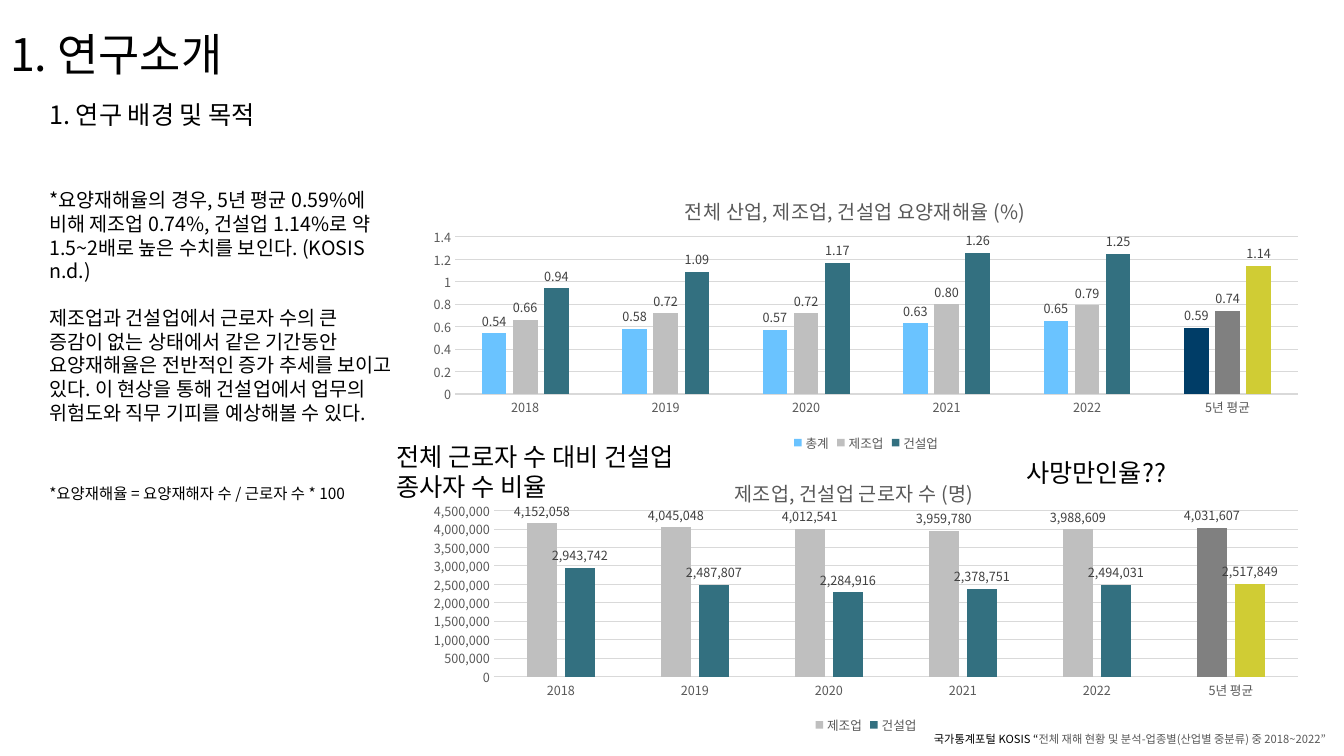
from lxml import etree
from pptx import Presentation
from pptx import util as u
from pptx.chart.data import CategoryChartData
from pptx.dml.color import RGBColor
from pptx.enum import chart as charts, text
from pptx.oxml import parse_xml
from pptx.oxml.ns import nsdecls, qn

FONT = "Noto Sans CJK KR"
COLOURS = {
    "text": "000000", "source": "585858", "axis": "595959", "label": "404040",
    "grid": "D9D9D9", "total": "6AC3FF", "total mean": "003D67",
    "factory": "BFBFBF", "factory mean": "808080",
    "building": "337080", "building mean": "D0CC34",
}
HUES = {"총계": "total", "제조업": "factory", "건설업": "building"}
YEARS = ["2018", "2019", "2020", "2021", "2022", "5년 평균"]
LEFT = 0.39
CHART_LEFT, CHART_TOP, CHART_WIDTH, CHART_HEIGHT = 4.12, 1.72, 8.94, 2.8


def style(font, size, colour):
    """Set size, colour and both the Latin and the East Asian typeface."""
    font.size = u.Pt(size)
    font.color.rgb = RGBColor.from_string(COLOURS[colour])
    font.name = FONT
    etree.SubElement(font._element, qn("a:ea")).set("typeface", FONT)


def fix_layout(element, inner=False, **shares):
    """Place a chart title or plot area by shares of the chart's size."""
    for old in element.findall(qn("c:layout")):
        element.remove(old)
    target = '<c:layoutTarget val="inner"/>' if inner else ""
    modes = "".join(f'<c:{axis}Mode val="edge"/>' for axis in "xy")
    sizes = "".join(f'<c:{key} val="{share}"/>' for key, share in shares.items())
    layout = parse_xml(f"<c:layout {nsdecls('c')}><c:manualLayout>"
                       f"{target}{modes}{sizes}</c:manualLayout></c:layout>")
    element.insert(0 if inner else 1, layout)


deck = Presentation()
deck.slide_width, deck.slide_height = u.Inches(13.33), u.Inches(7.5)
page = deck.slides.add_slide(deck.slide_layouts[5])

# Title
title = page.shapes.title
title.left, title.top = 0, 0
title.width, title.height = deck.slide_width, u.Inches(1.14)
title.text_frame.vertical_anchor = text.MSO_ANCHOR.MIDDLE
para = title.text_frame.paragraphs[0]
para.alignment = text.PP_ALIGN.LEFT
para.line_spacing = 0.9
span = para.add_run()
span.text = "1. 연구소개"
style(span.font, 32, "text")

# Charts, stacked on one column
chart_rows = [
    {"title": "전체 산업, 제조업, 건설업 요양재해율 (%)", "title_x": 0.295,
     "plot": {"x": 0.044, "y": 0.225, "w": 0.935, "h": 0.557},
     "axis": "General", "label": "#,##0.00", "top": 1.4, "step": 0.2,
     "series": {"총계": [0.54, 0.58, 0.57, 0.63, 0.65, 0.59],
                "제조업": [0.66, 0.72, 0.72, 0.8, 0.79, 0.74],
                "건설업": [0.94, 1.09, 1.17, 1.26, 1.25, 1.14]}},
    {"title": "제조업, 건설업 근로자 수 (명)", "title_x": 0.35,
     "plot": {"x": 0.087, "y": 0.195, "w": 0.892, "h": 0.588},
     "axis": "#,##0", "label": "#,##0", "top": 4500000, "step": 500000,
     "series": {"제조업": [4152058, 4045048, 4012541, 3959780, 3988609, 4031607],
                "건설업": [2943742, 2487807, 2284916, 2378751, 2494031, 2517849]}},
]
for row, facts in enumerate(chart_rows):
    data = CategoryChartData()
    data.categories = YEARS
    for name, values in facts["series"].items():
        data.add_series(name, values)
    chart = page.shapes.add_chart(
        charts.XL_CHART_TYPE.COLUMN_CLUSTERED, u.Inches(CHART_LEFT),
        u.Inches(CHART_TOP + row * CHART_HEIGHT),
        u.Inches(CHART_WIDTH), u.Inches(CHART_HEIGHT), data).chart
    style(chart.font, 10, "text")

    span = chart.chart_title.text_frame.paragraphs[0].add_run()
    span.text = facts["title"]
    span.font.bold = False
    style(span.font, 14, "axis")
    fix_layout(chart.chart_title._element, x=facts["title_x"], y=0.06)
    fix_layout(chart._chartSpace.chart.plotArea, inner=True, **facts["plot"])

    chart.has_legend = True
    chart.legend.position = charts.XL_LEGEND_POSITION.BOTTOM
    chart.legend.include_in_layout = False
    style(chart.legend.font, 9, "axis")

    grid = RGBColor.from_string(COLOURS["grid"])
    scale = chart.value_axis
    for axis in (chart.category_axis, scale):
        axis.major_tick_mark = charts.XL_TICK_MARK.NONE
        axis.minor_tick_mark = charts.XL_TICK_MARK.NONE
        style(axis.tick_labels.font, 9, "axis")
    scale.minimum_scale, scale.maximum_scale = 0, facts["top"]
    scale.major_unit = facts["step"]
    scale.tick_labels.number_format = facts["axis"]
    scale.tick_labels.number_format_is_linked = False
    scale.format.line.fill.background()
    for line in (chart.category_axis.format.line, scale.major_gridlines.format.line):
        line.color.rgb = grid
        line.width = u.Pt(0.75)

    plot = chart.plots[0]
    plot.gap_width, plot.overlap = 219, -27
    plot.vary_by_categories = False
    for series in plot.series:
        hue = HUES[series.name]
        mean = series.points[len(YEARS) - 1]
        for bar, colour in ((series, hue), (mean, hue + " mean")):
            bar.format.fill.solid()
            bar.format.fill.fore_color.rgb = RGBColor.from_string(COLOURS[colour])
        labels = series.data_labels
        labels.show_value = True
        labels.position = charts.XL_LABEL_POSITION.OUTSIDE_END
        labels.number_format = facts["label"]
        labels.number_format_is_linked = False
        style(labels.font, 9, "label")

# Text boxes: place, size, alignment, then paragraphs of (wording, colour) runs
notes = [
    ((LEFT, 0.94, 6.75, 0.4), 18, "LEFT", [[("1. 연구 배경 및 목적", "text")]]),
    ((LEFT, 1.82, 3.62, 2.93), 14, "LEFT", [
        [("*요양재해율의 경우, 5년 평균 0.59%에 비해 제조업 0.74%, 건설업 1.14%로 "
          "약 1.5~2배로 높은 수치를 보인다. (KOSIS n.d.)", "text")],
        [("제조업과 건설업에서 근로자 수의 큰 증감이 없는 상태에서 같은 기간동안 "
          "요양재해율은 전반적인 증가 추세를 보이고 있다. 이 현상을 통해 건설업에서 "
          "업무의 위험도와 직무 기피를 예상해볼 수 있다.", "text")]]),
    ((8.49, 7.22, 4.76, 0.24), 8, "RIGHT", [
        [("국가통계포털 KOSIS “", "text"),
         ("전체 재해 현황 및 분석-업종별(산업별 중분류) 중 2018~2022”", "source")]]),
    ((LEFT, 4.75, 3.55, 0.29), 11, "LEFT",
     [[("*요양재해율 = 요양재해자 수 / 근로자 수 * 100", "text")]]),
    ((3.83, 4.33, 3.55, 0.71), 18, "LEFT",
     [[("전체 근로자 수 대비 건설업 종사자 수 비율", "text")]]),
    ((10.08, 4.49, 3.55, 0.4), 18, "LEFT", [[("사망만인율??", "text")]]),
]
for place, size, side, paragraphs in notes:
    frame = page.shapes.add_textbox(*map(u.Inches, place)).text_frame
    frame.word_wrap = True
    frame.auto_size = text.MSO_AUTO_SIZE.SHAPE_TO_FIT_TEXT
    for index, runs in enumerate(paragraphs):
        para = frame.add_paragraph() if index else frame.paragraphs[0]
        para.alignment = text.PP_ALIGN[side]
        para.space_before = u.Pt(17 if index else 0)
        for wording, colour in runs:
            span = para.add_run()
            span.text = wording
            style(span.font, size, colour)

deck.save("out.pptx")
